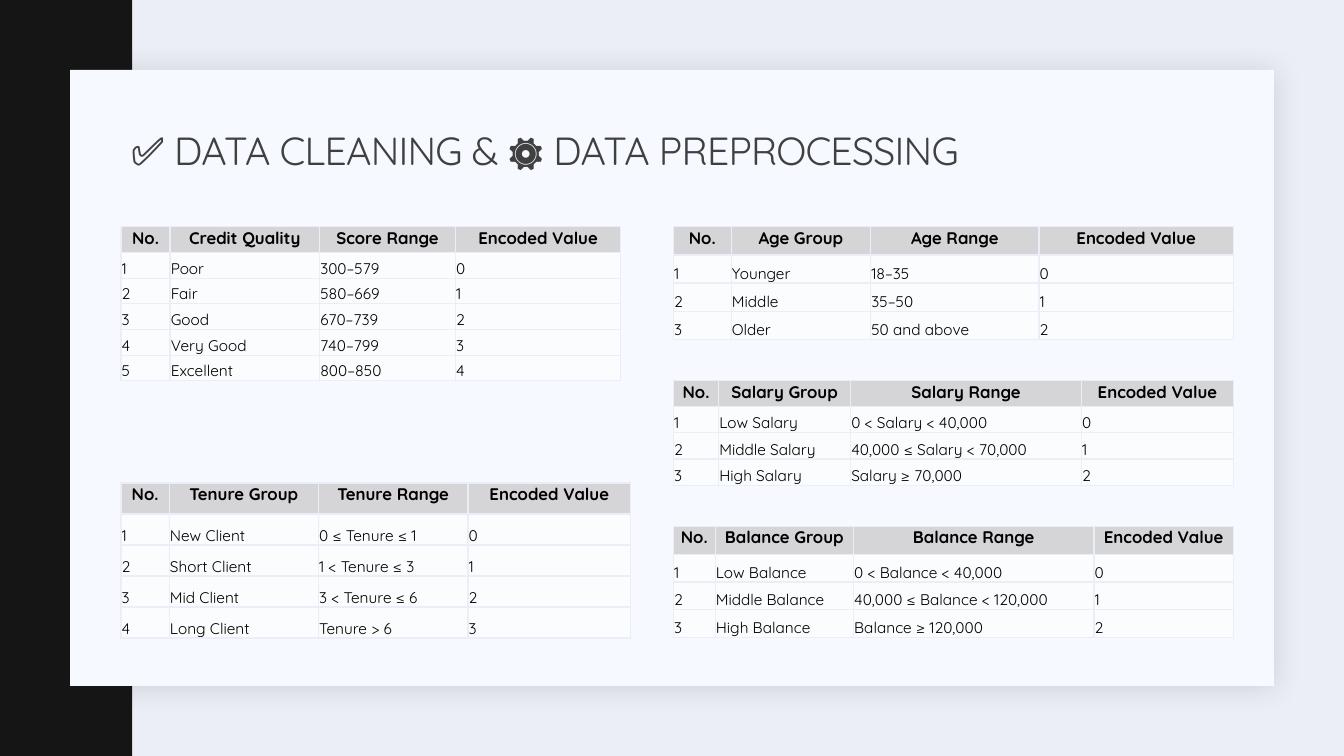
from lxml import etree
from pptx import Presentation
from pptx.dml.color import RGBColor
from pptx.enum.shapes import MSO_SHAPE
from pptx.enum.text import MSO_ANCHOR, PP_ALIGN
from pptx.oxml.ns import qn
from pptx.util import Pt

RECTANGLE = MSO_SHAPE.RECTANGLE
TOP, MIDDLE, BOTTOM = MSO_ANCHOR.TOP, MSO_ANCHOR.MIDDLE, MSO_ANCHOR.BOTTOM
LEFT, CENTER = PP_ALIGN.LEFT, PP_ALIGN.CENTER

FONT = "Quicksand"
COLORS = {
    "background": "ECEEF7",
    "band": "141514",
    "card": "F6F9FF",
    "shadow": "1F2125",
    "title": "404040",
    "text": "000000",
    "header": "D5D5D7",
    "body": "FBFCFD",
    "border": "ECEEF7",
}
LEFT_EDGE, RIGHT_EDGE = 86.4, 481

ENCODINGS = [
    (LEFT_EDGE, 162, 18.35, [35.1, 106.8, 97.1, 118], ["Credit Quality", "Score Range"],
     [("Poor", "300–579"), ("Fair", "580–669"), ("Good", "670–739"),
      ("Very Good", "740–799"), ("Excellent", "800–850")]),
    (RIGHT_EDGE, 162, 20.1, [41.3, 99.6, 120.3, 138.9], ["Age Group", "Age Range"],
     [("Younger", "18–35"), ("Middle", "35–50"), ("Older", "50 and above")]),
    (RIGHT_EDGE, 376, 19.85, [29.8, 98.9, 171.7, 99.7], ["Balance Group", "Balance Range"],
     [("Low Balance", "0 < Balance < 40,000"),
      ("Middle Balance", "40,000 ≤ Balance < 120,000"),
      ("High Balance", "Balance ≥ 120,000")]),
    (RIGHT_EDGE, 271.8, 18.7, [32.3, 94.3, 165, 108.5], ["Salary Group", "Salary Range"],
     [("Low Salary", "0 < Salary < 40,000"),
      ("Middle Salary", "40,000 ≤ Salary < 70,000"),
      ("High Salary", "Salary ≥ 70,000")]),
    (LEFT_EDGE, 345, 22.15, [34.5, 106.6, 106.8, 116.2], ["Tenure Group", "Tenure Range"],
     [("New Client", "0 ≤ Tenure ≤ 1"), ("Short Client", "1 < Tenure ≤ 3"),
      ("Mid Client", "3 < Tenure ≤ 6"), ("Long Client", "Tenure > 6")]),
]


def rgb(name):
    return RGBColor.from_string(COLORS[name])


def add_panel(slide, left, top, width, height, color):
    panel = slide.shapes.add_shape(RECTANGLE, Pt(left), Pt(top), Pt(width), Pt(height))
    panel.shadow.inherit = False
    panel.fill.solid()
    panel.fill.fore_color.rgb = rgb(color)
    panel.line.fill.background()
    return panel


def add_soft_shadow(panel):
    effects = panel._element.spPr.find(qn("a:effectLst"))
    shadow = etree.SubElement(effects, qn("a:outerShdw"), blurRad=str(Pt(20)),
                              dist=str(Pt(2)), dir="2700000", algn="tl", rotWithShape="0")
    color = etree.SubElement(shadow, qn("a:srgbClr"), val=COLORS["shadow"])
    etree.SubElement(color, qn("a:alpha"), val="15000")


def style_font(paragraph, size, color, bold=False):
    font = paragraph.font
    font.name = FONT
    font.size = Pt(size)
    font.bold = bold
    font.color.rgb = rgb(color)


def add_title(slide, text):
    box = slide.shapes.add_textbox(Pt(LEFT_EDGE), Pt(74), Pt(702), Pt(70))
    frame = box.text_frame
    frame.word_wrap = True
    frame.vertical_anchor = MIDDLE
    title = frame.paragraphs[0]
    title.line_spacing = 0.9
    run = title.add_run()
    run.text = text
    run.font._element.set("spc", "-50")
    style_font(title, 28, "title")


def add_borders(cell):
    properties = cell._tc.get_or_add_tcPr()
    for position, side in enumerate(("a:lnL", "a:lnR", "a:lnT", "a:lnB")):
        border = etree.Element(qn(side), w=str(Pt(1)))
        fill = etree.SubElement(border, qn("a:solidFill"))
        etree.SubElement(fill, qn("a:srgbClr"), val=COLORS["border"])
        properties.insert(position, border)


def fill_cell(cell, text, is_header):
    cell.fill.solid()
    cell.fill.fore_color.rgb = rgb("header" if is_header else "body")
    cell.margin_left = cell.margin_right = cell.margin_top = Pt(0.5)
    cell.margin_bottom = 0
    cell.vertical_anchor = TOP if is_header else BOTTOM
    cell.text = text
    paragraph = cell.text_frame.paragraphs[0]
    paragraph.alignment = CENTER if is_header else LEFT
    style_font(paragraph, 12 if is_header else 11, "text", is_header)
    add_borders(cell)


def add_encoding_table(slide, left, top, row_height, widths, headings, groups):
    rows = [["No.", *headings, "Encoded Value"]]
    rows += [[str(code + 1), *group, str(code)] for code, group in enumerate(groups)]
    table = slide.shapes.add_table(len(rows), len(widths), Pt(left), Pt(top),
                                   Pt(sum(widths)), Pt(row_height * len(rows))).table
    table.horz_banding = False
    for column, width in zip(table.columns, widths):
        column.width = Pt(width)
    for row_index, values in enumerate(rows):
        table.rows[row_index].height = Pt(row_height)
        for column_index, value in enumerate(values):
            fill_cell(table.cell(row_index, column_index), value, row_index == 0)


def main():
    presentation = Presentation()
    presentation.slide_width, presentation.slide_height = Pt(960), Pt(540)
    slide = presentation.slides.add_slide(presentation.slide_layouts[6])
    slide.background.fill.solid()
    slide.background.fill.fore_color.rgb = rgb("background")
    add_panel(slide, 0, 0, 94.5, 540, "band")
    add_soft_shadow(add_panel(slide, 50, 50, 860, 440, "card"))
    add_title(slide, "✅ DATA CLEANING & ⚙️ DATA PREPROCESSING")
    for encoding in ENCODINGS:
        add_encoding_table(slide, *encoding)
    presentation.save("out.pptx")


if __name__ == "__main__":
    main()
